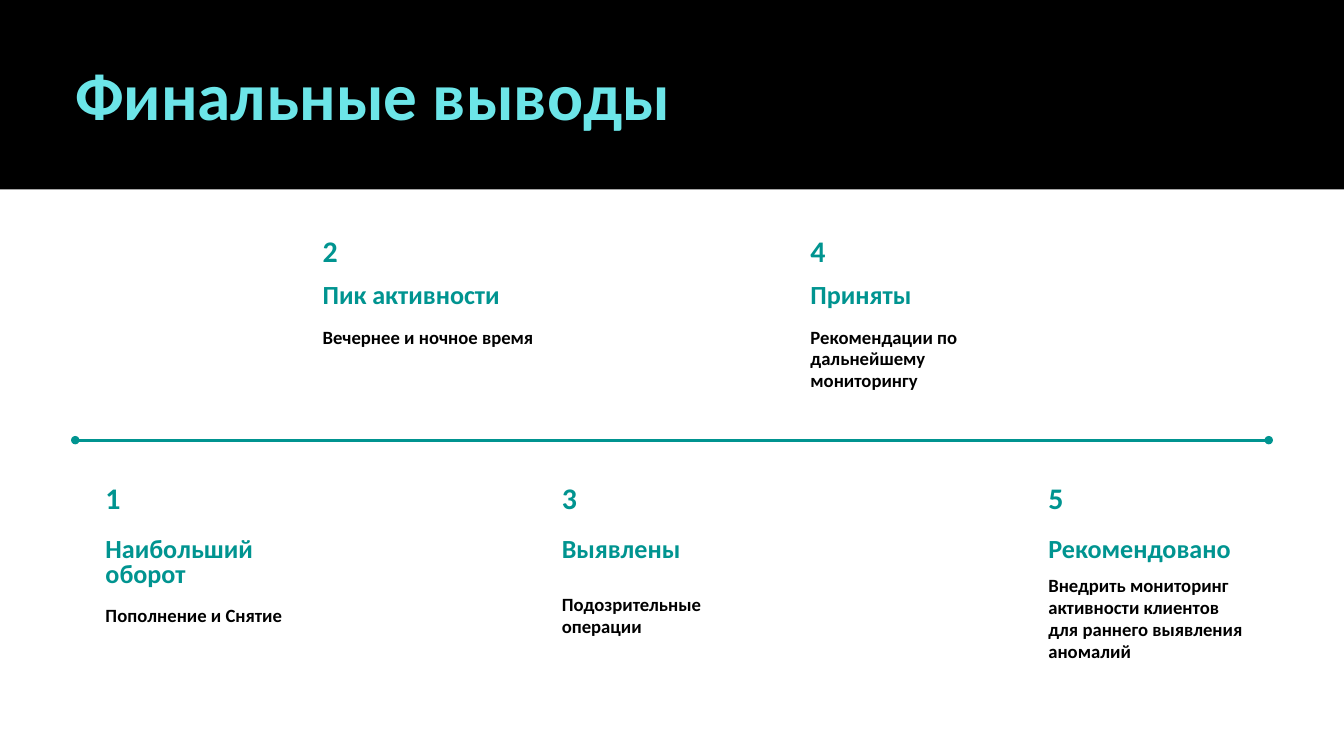
from lxml import etree
from pptx import Presentation
from pptx.dml.color import RGBColor
from pptx.enum import shapes, text
from pptx.oxml.ns import qn
from pptx.util import Inches, Pt

TEAL, AQUA, BLACK = "009490", "6CE5E8", "000000"
NUMBER = {"size": 32, "spacing": 38.4, "color": TEAL}
HEADING = {"size": 28, "spacing": 27.6, "color": TEAL}
BODY = {"size": 20, "spacing": 23.4, "color": BLACK}
TITLE = {"size": 72, "spacing": 86.4, "color": AQUA}


def color(value):
    return RGBColor.from_string(value)


def place(shape, box):
    for name, value in zip(("left", "top", "width", "height"), box):
        setattr(shape, name, Inches(value))


def write(shape, content, style):
    frame = shape.text_frame
    frame_format = {
        "margin_left": 0, "margin_top": 0, "margin_right": 0, "margin_bottom": 0,
        "word_wrap": True, "vertical_anchor": text.MSO_ANCHOR.TOP,
        "auto_size": text.MSO_AUTO_SIZE.SHAPE_TO_FIT_TEXT,
    }
    for name, value in frame_format.items():
        setattr(frame, name, value)
    frame.text = content
    paragraph = frame.paragraphs[0]
    paragraph.alignment = text.PP_ALIGN.LEFT
    paragraph.line_spacing = Pt(style["spacing"])
    font = paragraph.runs[0].font
    for name, value in {"name": "Calibri", "size": Pt(style["size"]), "bold": True}.items():
        setattr(font, name, value)
    font.color.rgb = color(style["color"])


def add_timeline(slide, left, right, y):
    line = slide.shapes.add_connector(
        shapes.MSO_CONNECTOR.STRAIGHT, Inches(left), Inches(y), Inches(right), Inches(y))
    line.line.color.rgb = color(TEAL)
    line.line.width = Pt(3)
    outline = line.line._get_or_add_ln()
    for end in ("a:headEnd", "a:tailEnd"):
        etree.SubElement(outline, qn(end), type="oval")
    etree.SubElement(line._element.spPr, qn("a:effectLst"))


def add_header(slide, box, content):
    left, top, width, height = box
    # Band, a little wider than the slide
    band = slide.shapes.add_shape(
        shapes.MSO_SHAPE.RECTANGLE, *(Inches(value) for value in box))
    band.shadow.inherit = False
    band.fill.solid()
    band.fill.fore_color.rgb = color(BLACK)
    band.line.fill.background()
    # Title, brought in front of the band
    title = slide.shapes.title
    place(title, (left + 1.26, top + 0.8, 11.9, 1.21))
    write(title, content, TITLE)
    band._element.addnext(title._element)


def add_conclusion(slide, box, number, heading, body, heading_gap, body_gap, heading_height=0.41):
    left, top, width, height = box
    group = slide.shapes.add_group_shape()
    parts = [
        (heading, HEADING, heading_gap, heading_height),
        (str(number), NUMBER, 0, 0.54),
        (body, BODY, body_gap, height - body_gap),
    ]
    for content, style, offset, part_height in parts:
        part = group.shapes.add_textbox(0, 0, 0, 0)
        place(part, (left, top + offset, width, part_height))
        write(part, content, style)


def main():
    presentation = Presentation()
    presentation.slide_width = Inches(20)
    presentation.slide_height = Inches(11.25)
    slide = presentation.slides.add_slide(presentation.slide_layouts.get_by_name("Title Only"))
    slide.background.fill.solid()
    slide.background.fill.fore_color.rgb = color("FFFFFF")

    add_timeline(slide, 1.12, 18.88, 6.55)
    add_header(slide, (-0.14, 0, 20.29, 2.82), "Финальные выводы")

    # Even numbers stand above the line, odd ones below:
    # left, width, height, heading, body, body gap, heading height
    conclusions = [
        (1.57, 3.43, 2.18, "Наибольший оборот", "Пополнение и Снятие", 1.85, 0.8),
        (4.8, 3.28, 2.04, "Пик активности", "Вечернее и ночное время", 1.39, 0.41),
        (8.36, 3.28, 2.34, "Выявлены", "Подозрительные операции", 1.69, 0.41),
        (12.06, 2.96, 2.35, "Приняты", "Рекомендации по дальнейшему мониторингу", 1.39, 0.41),
        (15.6, 2.97, 3.03, "Рекомендовано",
         "Внедрить мониторинг активности клиентов для раннего выявления аномалий", 1.41, 0.41),
    ]
    for number, (left, width, height, heading, body, body_gap, heading_height) in enumerate(
            conclusions, start=1):
        top, heading_gap = (7.14, 0.86) if number % 2 else (3.46, 0.76)
        add_conclusion(slide, (left, top, width, height), number, heading, body,
                       heading_gap, body_gap, heading_height)

    presentation.save("out.pptx")


if __name__ == "__main__":
    main()
